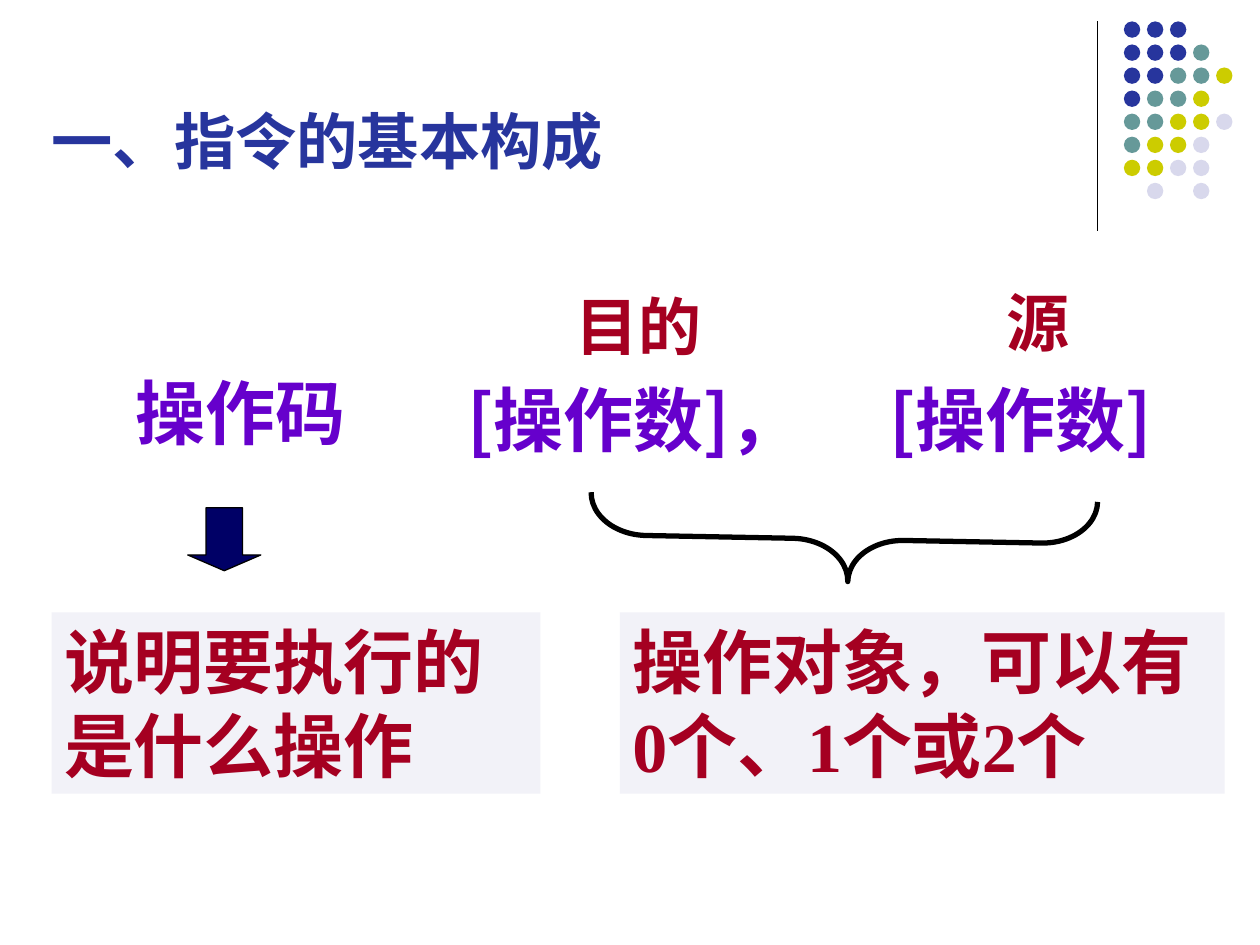
from dataclasses import dataclass

from lxml import etree
from pptx import Presentation
from pptx import util as u
from pptx.dml.color import RGBColor
from pptx.enum import shapes, text
from pptx.oxml.ns import qn

COLORS = {
    "navy": "27359D", "teal": "669999", "olive": "CCCC00", "pale": "D8D8EC",
    "violet": "6600CC", "red": "A50021", "panel": "F2F2F8", "arrow": "000066",
    "black": "000000",
}
DOT_COLORS = {"n": "navy", "t": "teal", "o": "olive", "p": "pale"}
DOT_ROWS = ("nnn", "nnnt", "nntto", "ntto", "ttoop", "toop", "oopp", " p p")
SANS, SERIF = "Noto Sans CJK SC", "Times New Roman"


@dataclass
class Area:
    """Position and size in inches."""
    left: float
    top: float
    width: float
    height: float

    def lengths(self) -> list:
        return [u.Inches(v) for v in (self.left, self.top, self.width, self.height)]


@dataclass
class Label:
    """A piece of text with its place and format."""
    words: str
    area: Area
    style: dict


def color(name: str) -> RGBColor:
    return RGBColor.from_string(COLORS[name])


def add_shape(page, kind, area: Area, fill=None, line=None, weight=0.75):
    shape = page.shapes.add_shape(kind, *area.lengths())
    shape.shadow.inherit = False
    if fill:
        shape.fill.solid()
        shape.fill.fore_color.rgb = color(fill)
    else:
        shape.fill.background()
    if line:
        shape.line.color.rgb = color(line)
        shape.line.width = u.Pt(weight)
    else:
        shape.line.fill.background()
    return shape


def write(box, words: str, *, size=40, font=SANS, ink="violet", wrap=True,
          anchor=text.MSO_ANCHOR.TOP, inset=True) -> None:
    frame = box.text_frame
    frame.word_wrap = wrap
    frame.vertical_anchor = anchor
    frame.margin_left = frame.margin_right = u.Inches(0.1 if inset else 0)
    frame.margin_top = frame.margin_bottom = u.Inches(0.05 if inset else 0)
    para = frame.paragraphs[0]
    para.alignment = text.PP_ALIGN.LEFT
    span = para.add_run()
    span.text = words
    span.font.name, span.font.size, span.font.bold = font, u.Pt(size), True
    span.font.color.rgb = color(ink)
    east_asian = etree.SubElement(span.font._element, qn("a:ea"))
    east_asian.set("typeface", SANS)


def add_label(page, label: Label) -> None:
    write(page.shapes.add_textbox(*label.area.lengths()), label.words, **label.style)


def add_panel(page, label: Label) -> None:
    panel = add_shape(page, shapes.MSO_SHAPE.RECTANGLE, label.area, "panel")
    write(panel, label.words, **label.style)


def add_dots(page, left=8.92, top=0.17, size=0.13, step=0.183) -> None:
    for row, codes in enumerate(DOT_ROWS):
        for column, code in enumerate(codes):
            if code in DOT_COLORS:
                area = Area(left + column * step, top + row * step, size, size)
                add_shape(page, shapes.MSO_SHAPE.OVAL, area, DOT_COLORS[code])


def add_rule(page) -> None:
    ends = [u.Inches(v) for v in (8.71, 0.17, 8.71, 1.83)]
    rule = page.shapes.add_connector(shapes.MSO_CONNECTOR.STRAIGHT, *ends)
    rule.line.color.rgb = color("black")
    rule.line.width = u.Pt(0.75)
    etree.SubElement(rule._element.spPr, qn("a:effectLst"))


def add_brace(page) -> None:
    brace = add_shape(page, shapes.MSO_SHAPE.LEFT_BRACE, Area(6.36, 2.27, 0.67, 4.02),
                      line="black", weight=3)
    brace.adjustments[0] = 0.66
    brace.adjustments[1] = 0.51
    brace.rotation = 271.1


TITLE = Label(" 一、指令的基本构成", Area(0.2, 0.68, 8.25, 0.77),
              dict(size=35, ink="navy", anchor=text.MSO_ANCHOR.BOTTOM))
TERM = dict(wrap=False)
NOTE = dict(font=SERIF, ink="red")
ROLE = dict(NOTE, size=36, inset=False)
LABELS = (
    TITLE,
    Label("操作码", Area(0.98, 2.88, 2, 0.92), TERM),
    Label("[操作数]，", Area(3.61, 2.94, 3.35, 0.75), TERM),
    Label("[操作数]", Area(6.96, 2.94, 2.7, 0.75), TERM),
    Label("目的", Area(4.57, 2.28, 1.33, 0.6), ROLE),
    Label("源", Area(7.99, 2.25, 0.75, 0.6), ROLE),
)
PANELS = (
    Label("说明要执行的是什么操作", Area(0.41, 4.86, 3.88, 1.44), NOTE),
    Label("操作对象，可以有0个、1个或2个", Area(4.92, 4.86, 4.8, 1.44), NOTE),
)


def main() -> None:
    """Build the slide on the parts of an instruction."""
    deck = Presentation()
    deck.slide_width, deck.slide_height = u.Inches(10), u.Inches(7.5)
    page = deck.slides.add_slide(deck.slide_layouts[6])
    add_rule(page)
    add_dots(page)
    for label in LABELS:
        add_label(page, label)
    add_shape(page, shapes.MSO_SHAPE.DOWN_ARROW, Area(1.49, 4.03, 0.58, 0.5),
              "arrow", "black").adjustments[1] = 0.25
    for panel in PANELS:
        add_panel(page, panel)
    add_brace(page)
    deck.save("out.pptx")


if __name__ == "__main__":
    main()
